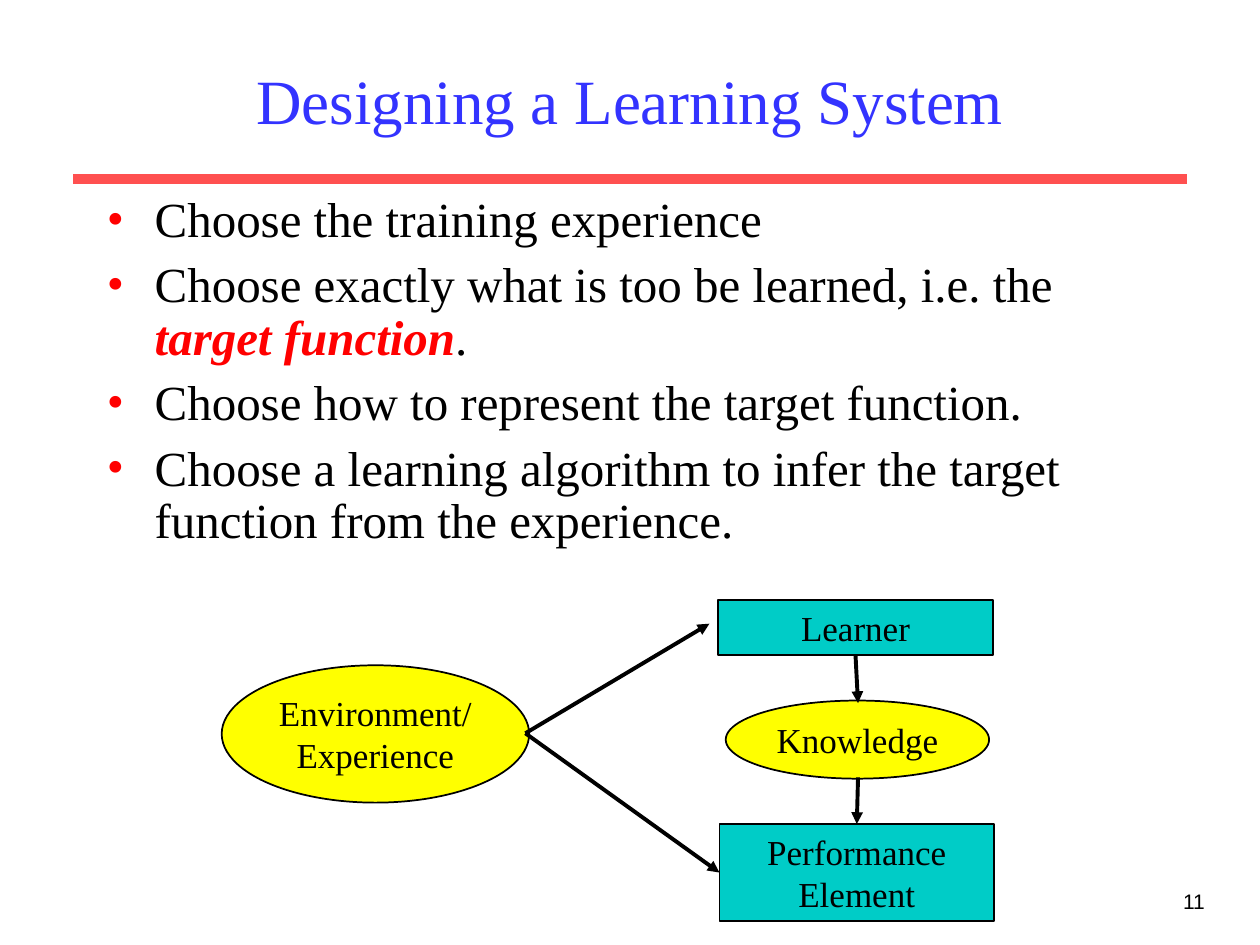
from dataclasses import dataclass
from typing import Optional

from lxml.etree import SubElement as Sub
from pptx import Presentation
from pptx.dml.color import RGBColor as Rgb
from pptx.enum.shapes import MSO_CONNECTOR as Link, MSO_SHAPE as Form
from pptx.enum.text import MSO_ANCHOR as Anchor, MSO_AUTO_SIZE as Fit, PP_ALIGN as Align
from pptx.oxml.ns import qn
from pptx.util import Inches, Pt

HUES = {"ink": "000000", "title": "3333FF", "red": "FF0000", "rule": "FF5050",
        "oval": "FFFF00", "box": "00CCC7"}
SERIF, SANS = "Times New Roman", "Arial"


@dataclass
class Node:
    name: str
    form: Form
    area: tuple
    hue: str
    lines: list
    inset: float


@dataclass
class Edge:
    start: tuple
    end: tuple
    tail: Optional[tuple] = None
    head: Optional[tuple] = None
    hue: str = "ink"
    width: float = 2.25
    arrow: bool = True


NODES = [
    Node("env", Form.OVAL, (1.76, 5.28, 2.44, 1.09), "oval", ["Environment/", "Experience"], 0),
    Node("learner", Form.RECTANGLE, (5.7, 4.76, 2.18, 0.44), "box", ["Learner"], 0.1),
    Node("know", Form.OVAL, (5.76, 5.56, 2.09, 0.62), "oval", ["Knowledge"], 0),
    Node("perform", Form.RECTANGLE, (5.71, 6.54, 2.18, 0.77), "box", ["Performance", "Element"], 0.1),
]
EDGES = [
    Edge((4.17, 5.82), (5.63, 4.95)),
    Edge((6.79, 5.2), (6.81, 5.58), tail=("learner", 2)),
    Edge((6.81, 6.17), (6.8, 6.54), head=("perform", 0)),
    Edge((4.17, 5.82), (5.71, 6.92), head=("perform", 1)),
]
POINTS = [
    [("Choose the training experience", False)],
    [("Choose exactly what is too be learned, i.e. the ", False),
     ("target function", True), (".", False)],
    [("Choose how to represent the target function.", False)],
    [("Choose a learning algorithm to infer the target function from the experience.", False)],
]


def tint(hue: str) -> Rgb:
    return Rgb.from_string(HUES[hue])


def apply(item, style: dict) -> None:
    for key, value in style.items():
        setattr(item, key, value)


def add_run(para, text: str, size: float, hue: str = "ink", **style) -> None:
    run = para.add_run()
    run.text = text
    apply(run.font, {"size": Pt(size), "name": SERIF, **style})
    run.font.color.rgb = tint(hue)


def add_para(frame, first: bool, **style):
    para = frame.paragraphs[0] if first else frame.add_paragraph()
    apply(para, style)
    return para


def add_box(slide, area: tuple, **style):
    frame = slide.shapes.add_textbox(*map(Inches, area)).text_frame
    apply(frame, {"word_wrap": True, **style})
    return frame


def add_bullet(para) -> None:
    props = para._p.get_or_add_pPr()
    props.set("marL", str(Inches(0.38)))
    props.set("indent", str(-Inches(0.38)))
    color = Sub(props, qn("a:buClr"))
    Sub(color, qn("a:srgbClr"), val=HUES["red"])
    Sub(props, qn("a:buFont"), typeface=SERIF)
    Sub(props, qn("a:buChar"), char="•")


def add_node(slide, node: Node):
    shape = slide.shapes.add_shape(node.form, *map(Inches, node.area))
    shape.shadow.inherit = False
    shape.fill.solid()
    shape.fill.fore_color.rgb = tint(node.hue)
    shape.line.color.rgb = tint("ink")
    shape.line.width = Pt(1)
    frame = shape.text_frame
    side = Inches(node.inset)
    apply(frame, {"word_wrap": True, "vertical_anchor": Anchor.MIDDLE,
                  "auto_size": Fit.NONE, "margin_left": side, "margin_right": side})
    for row, text in enumerate(node.lines):
        add_run(add_para(frame, row == 0, alignment=Align.CENTER), text, 20)
    return shape


def add_edge(slide, edge: Edge, shapes: dict) -> None:
    line = slide.shapes.add_connector(Link.STRAIGHT, *map(Inches, edge.start + edge.end))
    if edge.tail:
        line.begin_connect(shapes[edge.tail[0]], edge.tail[1])
    if edge.head:
        line.end_connect(shapes[edge.head[0]], edge.head[1])
    line.line.color.rgb = tint(edge.hue)
    line.line.width = Pt(edge.width)
    if edge.arrow:
        Sub(line.line._get_or_add_ln(), qn("a:tailEnd"), type="triangle")
    Sub(line._element.spPr, qn("a:effectLst"))


def main() -> None:
    deck = Presentation()
    apply(deck, {"slide_width": Inches(10), "slide_height": Inches(7.5)})
    slide = deck.slides.add_slide(deck.slide_layouts[6])

    add_edge(slide, Edge((0.58, 1.42), (9.42, 1.42), hue="rule", width=6, arrow=False), {})
    page = add_box(slide, (7.58, 7, 2.08, 0.5))
    add_run(add_para(page, True, alignment=Align.RIGHT), "11", 12, name=SANS)
    title = add_box(slide, (0.75, 0.25, 8.5, 1.08), vertical_anchor=Anchor.MIDDLE)
    add_run(add_para(title, True, alignment=Align.CENTER),
            "Designing a Learning System", 36, "title")

    body = add_box(slide, (0.75, 1.5, 8.5, 2.91))
    for row, parts in enumerate(POINTS):
        para = add_para(body, row == 0, line_spacing=0.9, space_before=Pt(7))
        add_bullet(para)
        for text, key in parts:
            add_run(para, text, 28, "red" if key else "ink", bold=key, italic=key)

    shapes = {node.name: add_node(slide, node) for node in NODES}
    for edge in EDGES:
        add_edge(slide, edge, shapes)
    deck.save("out.pptx")


if __name__ == "__main__":
    main()
